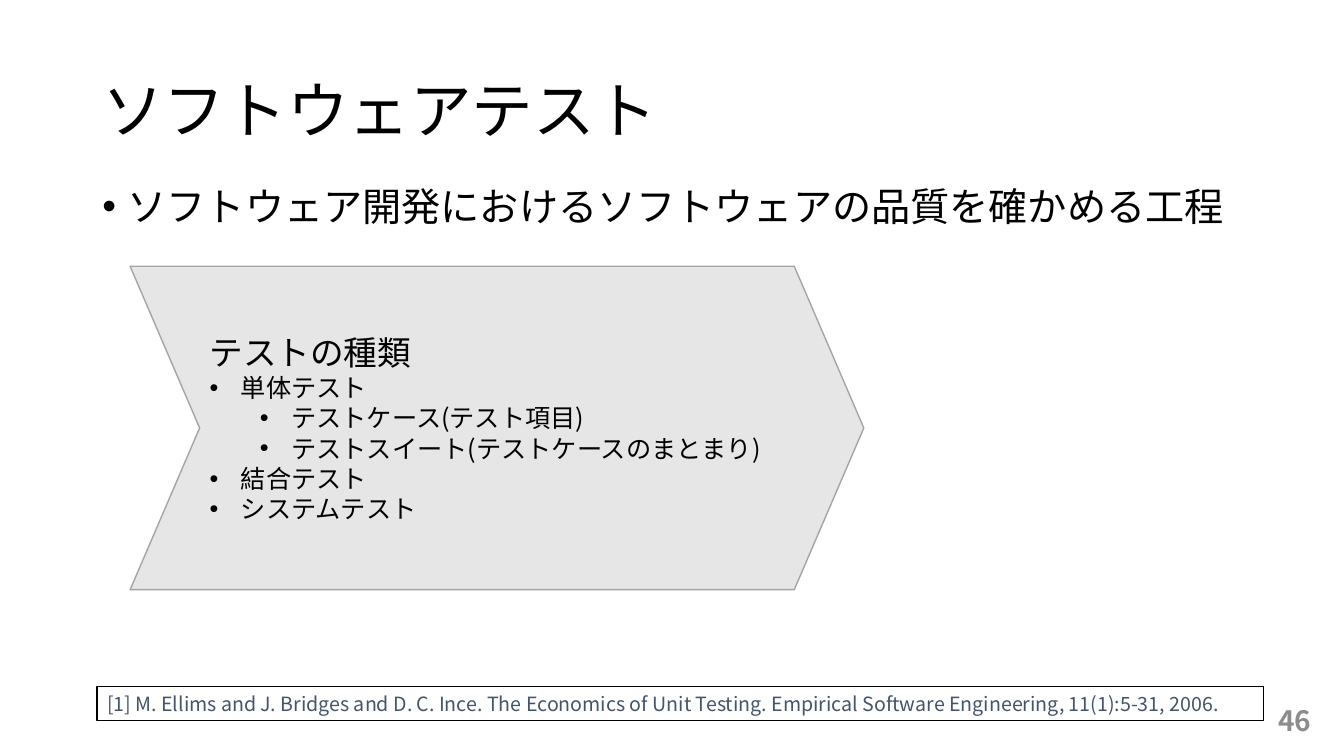
from dataclasses import dataclass

from lxml import etree
from pptx import Presentation
from pptx import util as u
from pptx.dml.color import RGBColor
from pptx.enum import shapes, text
from pptx.oxml.ns import qn
from pptx.util import Cm


@dataclass(frozen=True)
class Theme:
    """Font, colours and type sizes of the slide."""
    font: str = "Noto Sans CJK JP"
    ink: str = "000000"
    paper: str = "FFFFFF"
    muted: str = "8C8C8C"
    citation: str = "44546A"
    arrow_fill: str = "E7E6E6"
    arrow_line: str = "A5A5A5"
    title: int = 44
    body: int = 28
    heading: int = 24
    number: int = 20
    item: int = 18
    note: int = 14


THEME = Theme()
TEST_KINDS = [
    (0, "単体テスト"),
    (1, "テストケース(テスト項目)"),
    (1, "テストスイート(テストケースのまとまり)"),
    (0, "結合テスト"),
    (0, "システムテスト"),
]


def add_span(para, words, size, color=THEME.ink, bold=False):
    """Append a styled run to a paragraph."""
    span = para.add_run()
    span.text = words
    font = span.font
    font.size, font.bold, font.name = u.Pt(size), bold, THEME.font
    font.color.rgb = RGBColor.from_string(color)
    east_asian = etree.SubElement(span._r.get_or_add_rPr(), qn("a:ea"))
    east_asian.set("typeface", THEME.font)


def add_bullet(para, left, hang):
    """Give a paragraph a round bullet with a hanging indent."""
    properties = para._p.get_or_add_pPr()
    properties.set("marL", str(left))
    properties.set("indent", str(-hang))
    etree.SubElement(properties, qn("a:buFont")).set("typeface", "Arial")
    etree.SubElement(properties, qn("a:buChar")).set("char", "•")


def add_text(page, area, anchor=text.MSO_ANCHOR.TOP):
    """Add a wrapping text box and return its first paragraph."""
    frame = page.shapes.add_textbox(*area).text_frame
    frame.word_wrap = True
    frame.vertical_anchor = anchor
    return frame.paragraphs[0]


def add_panel(page, kind, area, fill, line):
    """Add an outlined, filled shape with left-aligned text."""
    box = page.shapes.add_shape(kind, *area)
    box.shadow.inherit = False
    box.fill.solid()
    box.fill.fore_color.rgb = RGBColor.from_string(fill)
    box.line.color.rgb = RGBColor.from_string(line)
    box.line.width = u.Pt(1)
    box.text_frame.word_wrap = True
    box.text_frame.paragraphs[0].alignment = text.PP_ALIGN.LEFT
    return box


def add_title(page):
    """Add the slide title."""
    para = add_text(page, (Cm(2.33), Cm(1.01), Cm(29.21), Cm(3.68)),
                    text.MSO_ANCHOR.MIDDLE)
    para.line_spacing = 0.9
    add_span(para, "ソフトウェアテスト", THEME.title)


def add_summary(page):
    """Add the bulleted statement under the title."""
    para = add_text(page, (Cm(2.33), Cm(4.6), Cm(29.21), Cm(3.28)))
    add_bullet(para, Cm(0.64), Cm(0.64))
    para.line_spacing = 0.9
    add_span(para, "ソフトウェア開発におけるソフトウェアの品質を確かめる工程", THEME.body)


def add_test_kinds(page):
    """Add the chevron that lists the kinds of test."""
    box = add_panel(page, shapes.MSO_SHAPE.CHEVRON,
                    (Cm(3.28), Cm(6.71), Cm(18.49), Cm(8.15)),
                    THEME.arrow_fill, THEME.arrow_line)
    box.adjustments[0] = 0.215
    frame = box.text_frame
    frame.vertical_anchor = text.MSO_ANCHOR.MIDDLE
    add_span(frame.paragraphs[0], "テストの種類", THEME.heading)
    for level, words in TEST_KINDS:
        para = frame.add_paragraph()
        add_bullet(para, Cm(0.79 + 1.27 * level), Cm(0.79))
        para.level = level
        para.alignment = text.PP_ALIGN.LEFT
        add_span(para, words, THEME.item)


def add_citation(page):
    """Add the framed reference at the foot."""
    box = add_panel(page, shapes.MSO_SHAPE.RECTANGLE,
                    (Cm(2.45), Cm(17.3), Cm(29.39), Cm(0.86)),
                    THEME.paper, THEME.ink)
    box.text_frame.vertical_anchor = text.MSO_ANCHOR.TOP
    box.text_frame.auto_size = text.MSO_AUTO_SIZE.SHAPE_TO_FIT_TEXT
    add_span(box.text_frame.paragraphs[0],
             "[1] M. Ellims and J. Bridges and D. C. Ince. The Economics of Unit "
             "Testing. Empirical Software Engineering, 11(1):5-31, 2006.",
             THEME.note, THEME.citation)


def add_page_number(page):
    """Add the page number at the lower right."""
    para = add_text(page, (Cm(25.68), Cm(17.65), Cm(7.62), Cm(1.01)),
                    text.MSO_ANCHOR.MIDDLE)
    para.alignment = text.PP_ALIGN.RIGHT
    add_span(para, "46", THEME.number, THEME.muted, bold=True)


def main():
    """Build the slide and save the deck."""
    deck = Presentation()
    deck.slide_width, deck.slide_height = Cm(33.87), Cm(19.05)
    page = deck.slides.add_slide(deck.slide_layouts[6])
    add_title(page)
    add_summary(page)
    add_page_number(page)
    add_test_kinds(page)
    add_citation(page)
    deck.save("out.pptx")


if __name__ == "__main__":
    main()
